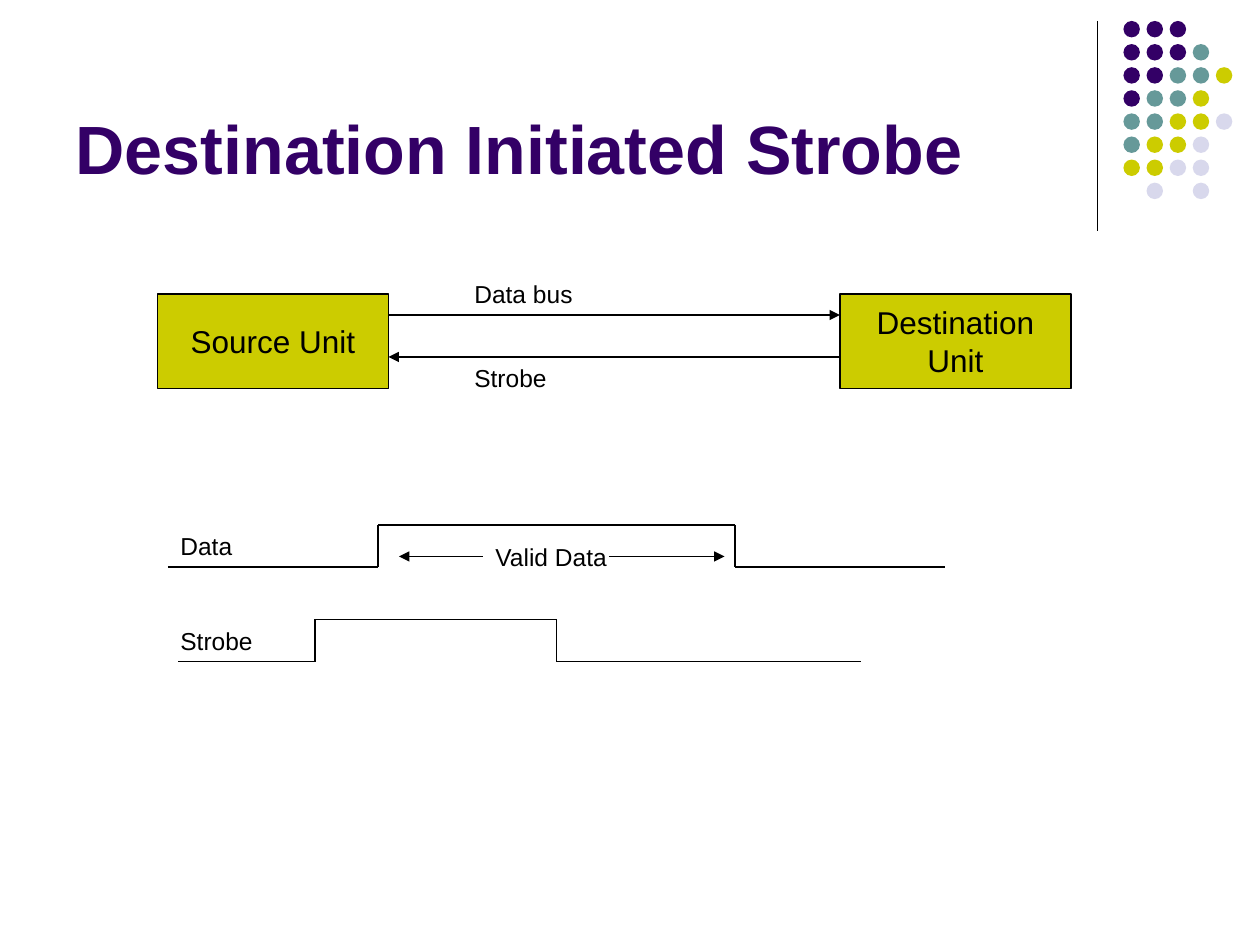
"""Build the slide on destination initiated strobe transfer, on a grid of 120 by 90 cells."""
from itertools import pairwise

from pptx import Presentation
from pptx.dml.color import RGBColor
from pptx.enum.shapes import MSO_CONNECTOR, MSO_SHAPE
from pptx.enum.text import MSO_ANCHOR, MSO_AUTO_SIZE, PP_ALIGN
from pptx.oxml.ns import qn
from pptx.util import Inches, Pt
from lxml.etree import SubElement

presentation = Presentation()
presentation.slide_width = Inches(10)
presentation.slide_height = Inches(7.5)
cell = presentation.slide_width // 120
slide = presentation.slides.add_slide(presentation.slide_layouts[5])
shapes = slide.shapes
color = RGBColor.from_string


def draw_line(start, end, arrow=False):
    ends = [int(value * cell) for value in (*start, *end)]
    connector = shapes.add_connector(MSO_CONNECTOR.STRAIGHT, *ends)
    connector.line.color.rgb = color("000000")
    connector.line.width = Pt(0.75)
    properties = connector._element.spPr
    if arrow:
        SubElement(properties.find(qn("a:ln")), qn("a:tailEnd"), type="triangle")
    SubElement(properties, qn("a:effectLst"))


def write_text(shape, text, size, hex_color="000000", align=PP_ALIGN.LEFT, bold=False):
    shape.text_frame.text = text
    for paragraph in shape.text_frame.paragraphs:
        paragraph.alignment = align
        paragraph.font.name = "Arial"
        paragraph.font.size = Pt(size)
        paragraph.font.bold = bold
        paragraph.font.color.rgb = color(hex_color)


draw_line((104.5, 2), (104.5, 22))

dot_colors = {"P": "330066", "T": "669999", "Y": "CCCC00", "L": "D8D8EC"}
dot_rows = ["PPP", "PPPT", "PPTTY", "PTTY", "TTYYL", "TYYL", "YYLL", " L L"]
for row, letters in enumerate(dot_rows):
    for column, letter in enumerate(letters):
        if letter in dot_colors:
            left, top = int((107 + 2.2 * column) * cell), int((2 + 2.2 * row) * cell)
            diameter = int(1.57 * cell)
            dot = shapes.add_shape(MSO_SHAPE.OVAL, left, top, diameter, diameter)
            dot.shadow.inherit = False
            dot.fill.solid()
            dot.fill.fore_color.rgb = color(dot_colors[letter])
            dot.line.fill.background()

title = shapes.title
title.left, title.top = 6 * cell, int(1.5 * cell)
title.width, title.height = 99 * cell, 17 * cell
write_text(title, "Destination Initiated Strobe", 39, "330066", bold=True)
title.text_frame.vertical_anchor = MSO_ANCHOR.BOTTOM
title.text_frame.auto_size = MSO_AUTO_SIZE.NONE

for column, name in ((15, "Source Unit"), (80, "Destination\nUnit")):
    unit = shapes.add_shape(MSO_SHAPE.RECTANGLE, column * cell, 28 * cell, 22 * cell, 9 * cell)
    unit.shadow.inherit = False
    unit.fill.solid()
    unit.fill.fore_color.rgb = color("CCCC00")
    unit.line.color.rgb = color("000000")
    unit.line.width = Pt(0.75)
    unit.text_frame.word_wrap = False
    unit.text_frame.vertical_anchor = MSO_ANCHOR.MIDDLE
    write_text(unit, name, 18, align=PP_ALIGN.CENTER)

for start, end, row in ((37, 80, 30), (80, 37, 34), (46, 38, 53), (58, 69, 53)):
    draw_line((start, row), (end, row), arrow=True)

for (begin, rise, fall, finish), low in (((16, 36, 70, 90), 54), ((17, 30, 53, 82), 63)):
    high = low - 4
    wave = [(begin, low), (rise, low), (rise, high), (fall, high), (fall, low), (finish, low)]
    for start, end in pairwise(wave):
        draw_line(start, end)

labels = [
    ("Data bus", 44, 26),
    ("Strobe", 44, 34),
    ("Valid Data", 46, 51),
    ("Data", 16, 50),
    ("Strobe", 16, 59),
]
for text, column, row in labels:
    label = shapes.add_textbox(column * cell, row * cell, 19 * cell, 4 * cell)
    label.text_frame.word_wrap = True
    label.text_frame.auto_size = MSO_AUTO_SIZE.SHAPE_TO_FIT_TEXT
    write_text(label, text, 14)

presentation.save("out.pptx")
